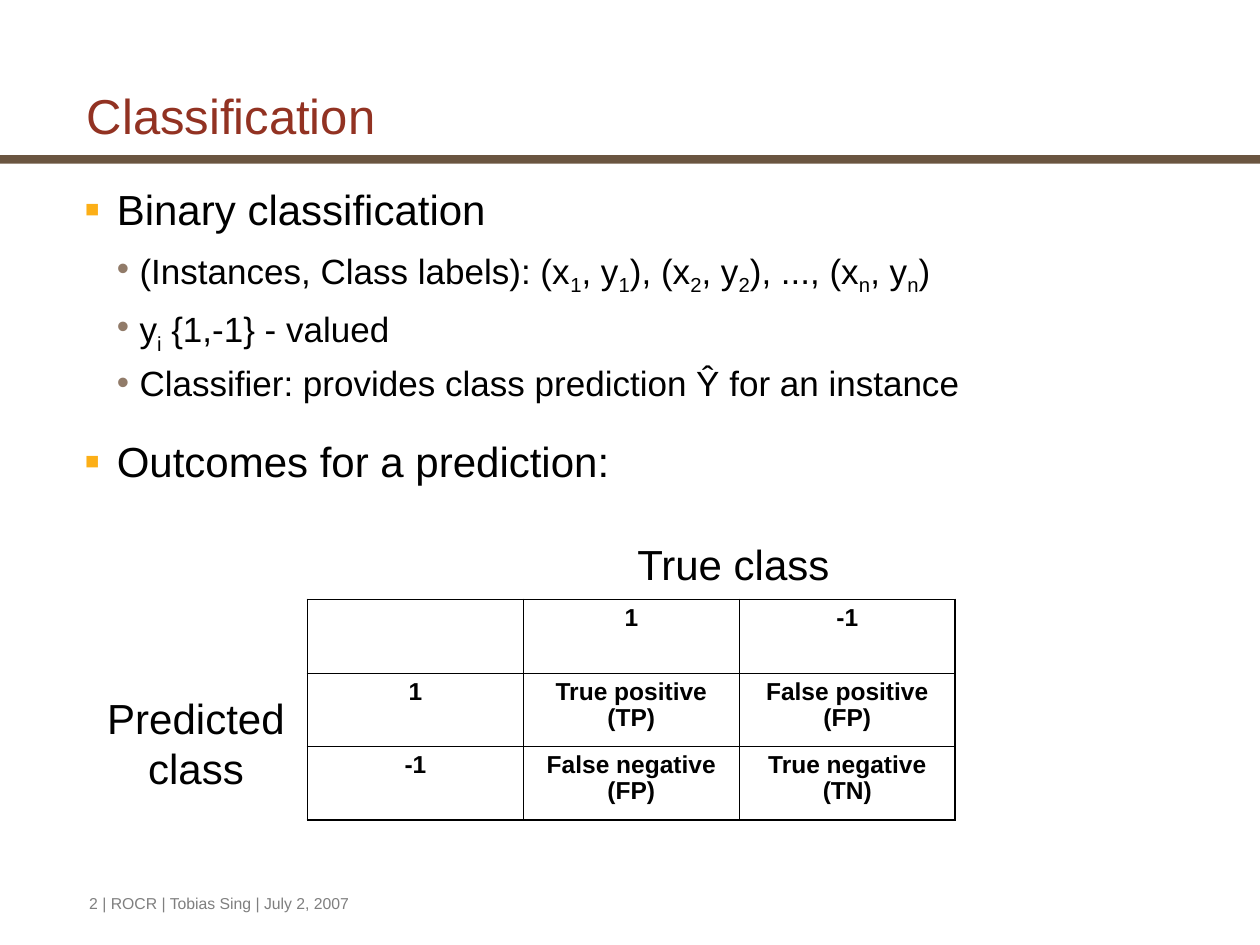
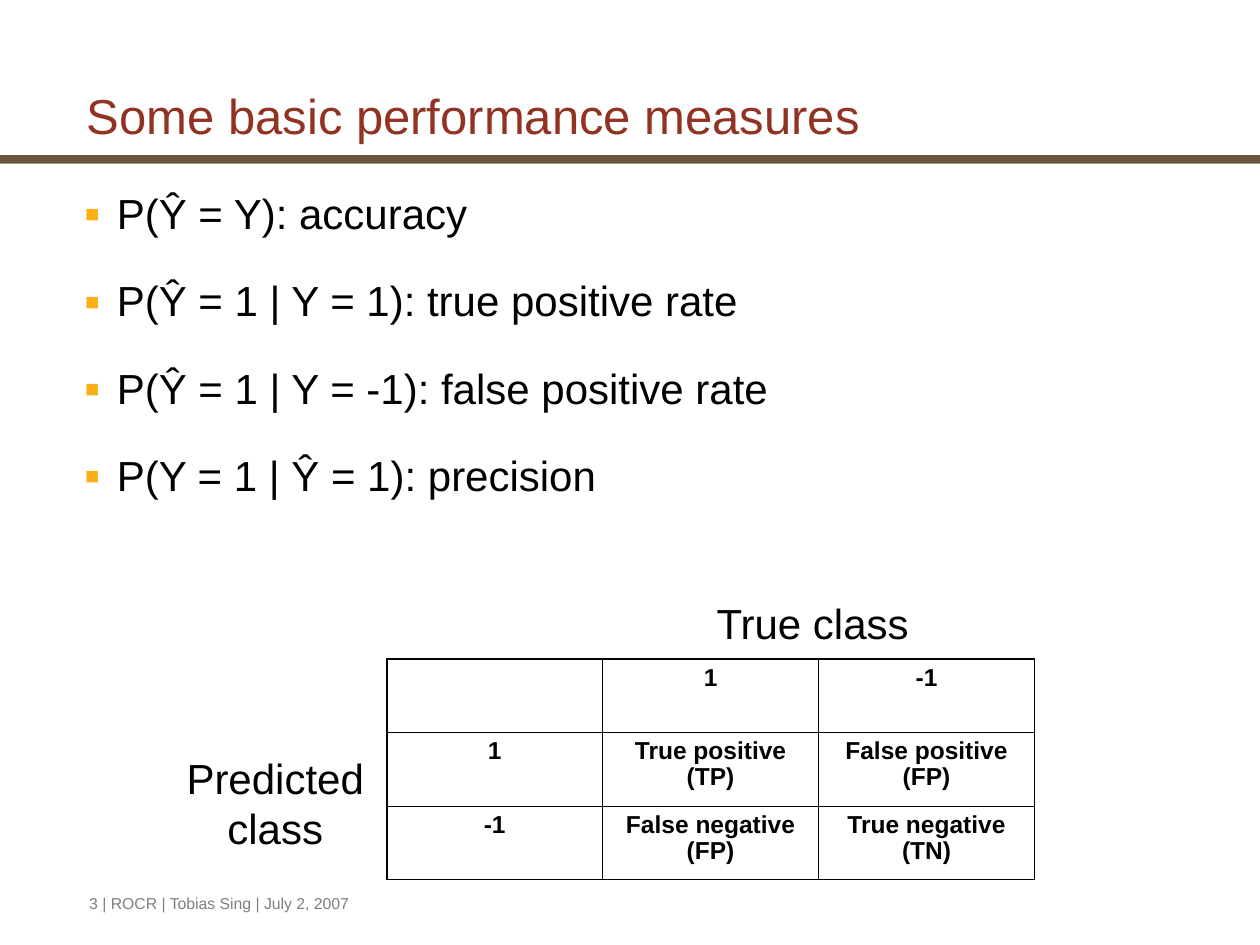
import copy

import lxml.etree
import pptx
import pptx.dml.color
import pptx.enum.shapes
import pptx.enum.text
import pptx.oxml.ns
import pptx.util

Pt = pptx.util.Pt
qn = pptx.oxml.ns.qn
ALIGN = pptx.enum.text.PP_ALIGN

FONT = "Arial"
BLACK, TITLE_RED, BAND_BROWN, FOOTER_GREY = "000000", "923222", "6A5540", "7F7F7F"

# Per bullet level: character, colour, size in percent, left indent, hanging, text size, space before
LEVELS = [
    ("▪", "FCAF17", 110, 18.7, 18.7, 24, 22.5),
    ("•", "917B69", 100, 31.7, 13, 20, 10),
]

# Confusion matrix; \v is a line break inside a paragraph
MATRIX = [
    ["", "1", "-1"],
    ["1", "True positive (TP)", "False positive\v(FP)"],
    ["-1", "False negative\v(FP)", "True negative\v(TN)"],
]
COLUMN_WIDTH, ROW_HEIGHT = 123.4, 42
OUTER_LINE, INNER_LINE = 1.08, 0.45

# Axis labels: text, offset from the table's corner, width, height, alignment
AXIS_LABELS = [
    ("True class", 181.4, -38.5, 125.3, 36, ALIGN.LEFT),
    ("Predicted\vclass", -121.7, 49.7, 116, 65, ALIGN.CENTER),
]

# Per slide: title, line spacing, bullets (level, text with ~subscript~), body height, table corner
SLIDES = [
    ("Classification", 0.85, [
        (0, "Binary classification"),
        (1, "(Instances, Class labels): (x~1~, y~1~), (x~2~, y~2~), ..., (x~n~, y~n~)"),
        (1, "y~i~ {1,-1} - valued"),
        (1, "Classifier: provides class prediction Ŷ for an instance"),
        (0, "Outcomes for a prediction:"),
    ], 189.4, (175.7, 342.5)),
    ("Some basic performance measures", 0.95, [
        (0, "P(Ŷ = Y): accuracy"),
        (0, "P(Ŷ = 1 | Y = 1): true positive rate"),
        (0, "P(Ŷ = 1 | Y = -1): false positive rate"),
        (0, "P(Y = 1 | Ŷ = 1): precision"),
    ], 234, (221, 376.6)),
]


def color(hex_string):
    return pptx.dml.color.RGBColor.from_string(hex_string)


def format_runs(paragraph, size, hex_string, bold=False):
    for run in paragraph.runs:
        run.font.name = FONT
        run.font.size = Pt(size)
        run.font.bold = bold
        run.font.color.rgb = color(hex_string)
    # Line breaks take the size of the text around them
    for line_break in paragraph._p.findall(qn("a:br")):
        line_break.append(copy.deepcopy(paragraph.runs[0]._r.rPr))


presentation = pptx.Presentation()
presentation.slide_width, presentation.slide_height = Pt(720), Pt(540)
title_only = presentation.slide_layouts[5]

for number, (title_text, line_spacing, bullets, body_height, corner) in enumerate(SLIDES, start=2):
    slide = presentation.slides.add_slide(title_only)

    # Band under the title
    band = slide.shapes.add_shape(
        pptx.enum.shapes.MSO_SHAPE.RECTANGLE, Pt(0), Pt(88.6), Pt(720), Pt(5))
    band.shadow.inherit = False
    band.fill.solid()
    band.fill.fore_color.rgb = color(BAND_BROWN)
    band.line.fill.background()

    # Title
    title = slide.shapes.title
    title.left, title.top, title.width, title.height = Pt(42.5), Pt(48.2), Pt(653), Pt(38.9)
    title.text_frame.text = title_text
    title.text_frame.auto_size = pptx.enum.text.MSO_AUTO_SIZE.NONE
    title.text_frame.vertical_anchor = pptx.enum.text.MSO_ANCHOR.BOTTOM
    paragraph = title.text_frame.paragraphs[0]
    paragraph.alignment = ALIGN.LEFT
    paragraph.line_spacing = 0.95
    format_runs(paragraph, 28, TITLE_RED)

    # Footer
    footer = slide.shapes.add_textbox(Pt(43.9), Pt(506.9), Pt(514), Pt(18))
    footer.text_frame.word_wrap = True
    footer.text_frame.text = f"{number} | ROCR | Tobias Sing | July 2, 2007"
    format_runs(footer.text_frame.paragraphs[0], 9, FOOTER_GREY)

    # Bulleted body
    body = slide.shapes.add_textbox(Pt(41), Pt(105.8), Pt(667.4), Pt(body_height))
    body.text_frame.word_wrap = True
    for index, (level, text) in enumerate(bullets):
        character, bullet_color, percent, indent, hanging, size, space = LEVELS[level]
        paragraph = body.text_frame.paragraphs[0] if index == 0 else body.text_frame.add_paragraph()
        paragraph.level = level
        paragraph.line_spacing = line_spacing
        paragraph.space_before = Pt(space if index else 0)
        properties = paragraph._p.get_or_add_pPr()
        properties.set("marL", str(Pt(indent)))
        properties.set("indent", str(-Pt(hanging)))
        bullet_fill = lxml.etree.SubElement(properties, qn("a:buClr"))
        lxml.etree.SubElement(bullet_fill, qn("a:srgbClr"), val=bullet_color)
        lxml.etree.SubElement(properties, qn("a:buSzPct"), val=str(percent * 1000))
        lxml.etree.SubElement(properties, qn("a:buFont"), typeface=FONT)
        lxml.etree.SubElement(properties, qn("a:buChar"), char=character)
        for part_index, part in enumerate(text.split("~")):
            run = paragraph.add_run()
            run.text = part
            if part_index % 2:
                run._r.get_or_add_rPr().set("baseline", "-25000")
        format_runs(paragraph, size, BLACK)

    # Confusion matrix
    left, top = corner
    last = len(MATRIX) - 1
    table = slide.shapes.add_table(
        len(MATRIX), len(MATRIX), Pt(left), Pt(top),
        Pt(COLUMN_WIDTH * len(MATRIX)), Pt(ROW_HEIGHT * len(MATRIX))).table
    table.first_row = table.horz_banding = False
    for row, texts in enumerate(MATRIX):
        for column, text in enumerate(texts):
            cell = table.cell(row, column)
            outer_sides = {"a:lnL": column == 0, "a:lnR": column == last,
                           "a:lnT": row == 0, "a:lnB": row == last}
            for side, is_outer in outer_sides.items():
                width = OUTER_LINE if is_outer else INNER_LINE
                border = lxml.etree.SubElement(
                    cell._tc.get_or_add_tcPr(), qn(side), w=str(Pt(width)))
                border_fill = lxml.etree.SubElement(border, qn("a:solidFill"))
                lxml.etree.SubElement(border_fill, qn("a:srgbClr"), val=BLACK)
            cell.fill.background()
            if text:
                cell.text_frame.text = text
                paragraph = cell.text_frame.paragraphs[0]
                paragraph.alignment = ALIGN.CENTER
                paragraph.line_spacing = 0.95
                format_runs(paragraph, 14, BLACK, bold=True)

    # Axis labels of the matrix
    for text, offset_x, offset_y, width, height, alignment in AXIS_LABELS:
        label = slide.shapes.add_textbox(
            Pt(left + offset_x), Pt(top + offset_y), Pt(width), Pt(height))
        label.text_frame.word_wrap = False
        label.text_frame.text = text
        paragraph = label.text_frame.paragraphs[0]
        paragraph.alignment = alignment
        format_runs(paragraph, 24, BLACK)

presentation.save("out.pptx")
